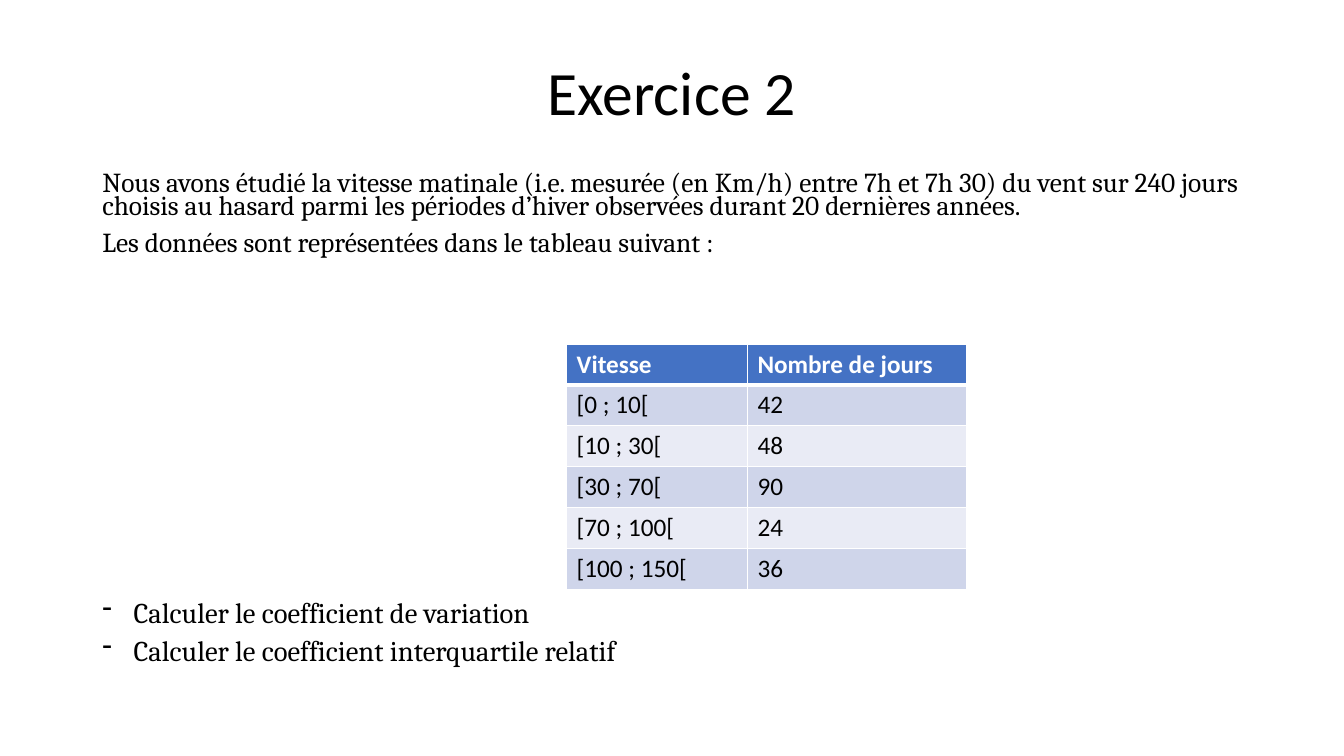
"""Build the "Exercice 2" slide on wind speed statistics."""
import dataclasses

import lxml.etree
import pptx
import pptx.dml.color
import pptx.enum.text
import pptx.oxml.ns
import pptx.util
from pptx.util import Cm

Pt = pptx.util.Pt


@dataclasses.dataclass(frozen=True)
class Theme:
    """Colours, fonts and type sizes of the slide."""
    text: str = "000000"
    paper: str = "FFFFFF"
    header: str = "4472C4"
    bands: tuple = ("CFD5EA", "E9EBF5")
    heading_font: str = "Calibri"
    body_font: str = "Cambria"
    title_size: float = 44
    intro_size: float = 19.6
    task_size: float = 20.4
    table_size: float = 18


THEME = Theme()
MARGIN, CONTENT_WIDTH = Cm(2.33), Cm(29.21)
INTRO = (
    "Nous avons étudié la vitesse matinale (i.e. mesurée (en Km/h) entre 7h et 7h 30) "
    "du vent sur 240 jours choisis au hasard parmi les périodes d’hiver observées "
    "durant 20 dernières années.",
    "Les données sont représentées dans le tableau suivant :",
)
TASKS = (
    "Calculer le coefficient de variation",
    "Calculer le coefficient interquartile relatif",
)
WIND_SPEEDS = (
    ("Vitesse", "Nombre de jours"),
    ("[0 ; 10[", "42"),
    ("[10 ; 30[", "48"),
    ("[30 ; 70[", "90"),
    ("[70 ; 100[", "24"),
    ("[100 ; 150[", "36"),
)


def apply_format(target, values):
    """Set every attribute named in a dict of format values."""
    for name, value in values.items():
        setattr(target, name, value)


def format_font(font, name, size, colour=THEME.text, bold=False):
    """Set the typeface, size, weight and colour of a font."""
    apply_format(font, {"name": name, "size": Pt(size), "bold": bold})
    font.color.rgb = pptx.dml.color.RGBColor.from_string(colour)


def add_element(parent, tag, **attributes):
    """Append a DrawingML element with attributes."""
    element = lxml.etree.SubElement(parent, pptx.oxml.ns.qn(tag))
    for name, value in attributes.items():
        element.set(name, str(value))
    return element


def add_dash(paragraph):
    """Give a paragraph a hanging dash bullet."""
    properties = paragraph._p.get_or_add_pPr()
    indent = Cm(0.79)
    properties.set("marL", str(indent))
    properties.set("indent", str(-indent))
    add_element(properties, "a:buFontTx")
    add_element(properties, "a:buChar", char="-")


def add_title(slide, text):
    """Place and format the title placeholder."""
    title = slide.shapes.title
    apply_format(title, {"left": MARGIN, "top": Cm(0.58), "width": CONTENT_WIDTH, "height": Cm(3.68)})
    title.text_frame.vertical_anchor = pptx.enum.text.MSO_ANCHOR.MIDDLE
    paragraph = title.text_frame.paragraphs[0]
    apply_format(paragraph, {
        "text": text, "alignment": pptx.enum.text.PP_ALIGN.CENTER, "line_spacing": 0.9})
    format_font(paragraph.font, THEME.heading_font, THEME.title_size)


def add_paragraphs(slide, texts, top, height, size, dashed=False):
    """Add a full-width text box of tightly set paragraphs."""
    frame = slide.shapes.add_textbox(MARGIN, top, CONTENT_WIDTH, height).text_frame
    frame.word_wrap = True
    for index, text in enumerate(texts):
        paragraph = frame.add_paragraph() if index else frame.paragraphs[0]
        apply_format(paragraph, {
            "text": text, "line_spacing": 0.7, "space_before": Pt(10 if index else 0)})
        if dashed:
            add_dash(paragraph)
        format_font(paragraph.font, THEME.body_font, size)


def add_borders(cell, widths):
    """Draw cell borders from a dict of side tags and point widths."""
    properties = cell._tc.get_or_add_tcPr()
    for side, width in widths.items():
        line = add_element(properties, side, w=Pt(width))
        add_element(add_element(line, "a:solidFill"), "a:srgbClr", val=THEME.paper)


def format_cell(cell, text, row):
    """Fill one cell with its text, borders and band colour."""
    is_header = row == 0
    widths = {"a:lnL": 1, "a:lnR": 1}
    widths.update({"a:lnT": 1, "a:lnB": 3} if is_header else {"a:lnB": 1})
    add_borders(cell, widths)
    fill = THEME.header if is_header else THEME.bands[(row - 1) % 2]
    cell.fill.solid()
    cell.fill.fore_color.rgb = pptx.dml.color.RGBColor.from_string(fill)
    cell.text = text
    colour = THEME.paper if is_header else THEME.text
    format_font(cell.text_frame.paragraphs[0].font, THEME.heading_font,
                THEME.table_size, colour, is_header)


def add_table(slide, rows, left, top, column_widths, row_height):
    """Add a banded table with a header row."""
    table = slide.shapes.add_table(
        len(rows), len(column_widths), left, top,
        sum(column_widths), row_height * len(rows)).table
    for column, width in zip(table.columns, column_widths):
        column.width = width
    for row, texts in enumerate(rows):
        for column, text in enumerate(texts):
            format_cell(table.cell(row, column), text, row)


def main():
    """Build and save the presentation."""
    presentation = pptx.Presentation()
    apply_format(presentation, {"slide_width": Cm(33.87), "slide_height": Cm(19.05)})
    slide = presentation.slides.add_slide(presentation.slide_layouts.get_by_name("Title Only"))
    add_title(slide, "Exercice 2")
    add_paragraphs(slide, INTRO, Cm(4.27), Cm(2.6), THEME.intro_size)
    add_table(slide, WIND_SPEEDS, Cm(14.28), Cm(8.67), (Cm(4.56), Cm(5.53)), Cm(1.03))
    add_paragraphs(slide, TASKS, Cm(15.1), Cm(2.2), THEME.task_size, dashed=True)
    presentation.save("out.pptx")


if __name__ == "__main__":
    main()
